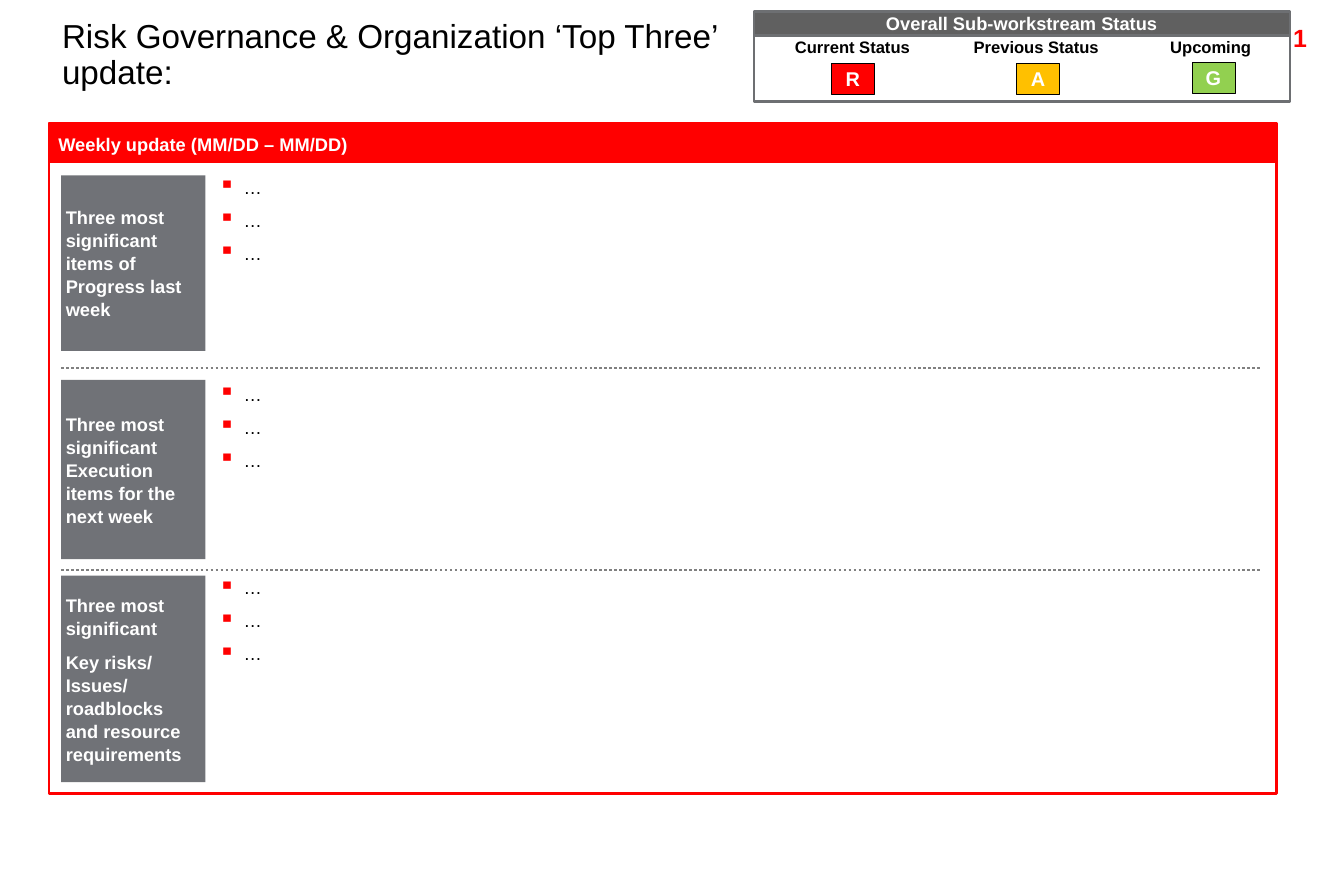
from lxml import etree
from pptx import Presentation
from pptx.dml.color import RGBColor
from pptx.enum.dml import MSO_LINE
from pptx.enum.shapes import MSO_CONNECTOR, MSO_SHAPE
from pptx.enum.text import MSO_ANCHOR, MSO_AUTO_SIZE, PP_ALIGN
from pptx.oxml.ns import qn
from pptx.util import Cm, Pt

RECT = MSO_SHAPE.RECTANGLE
STRAIGHT = MSO_CONNECTOR.STRAIGHT
DOTTED = MSO_LINE.ROUND_DOT
TOP, MIDDLE = MSO_ANCHOR.TOP, MSO_ANCHOR.MIDDLE
LEFT, CENTER, RIGHT = PP_ALIGN.LEFT, PP_ALIGN.CENTER, PP_ALIGN.RIGHT
FIT_SHAPE = MSO_AUTO_SIZE.SHAPE_TO_FIT_TEXT

WHITE = RGBColor(0xFF, 0xFF, 0xFF)
BLACK = RGBColor(0x00, 0x00, 0x00)
RED = RGBColor(0xFF, 0x00, 0x00)
AMBER = RGBColor(0xFF, 0xC0, 0x00)
GREEN = RGBColor(0x92, 0xD0, 0x50)
LABEL_GRAY = RGBColor(0x70, 0x72, 0x77)
HEADER_GRAY = RGBColor(0x60, 0x60, 0x60)
FRAME_GRAY = RGBColor(0x6D, 0x6F, 0x72)
DOT_GRAY = RGBColor(0x80, 0x80, 0x80)

PANEL_X, PANEL_W = 1.04, 26.11
INNER_X, INNER_RIGHT = 1.3, 26.8
LABEL_W = 3.07
BULLETS_X = 4.65
STATUS_X, STATUS_W = 16.03, 11.4

# label top, label height, bullets top, label paragraphs
SECTIONS = [
    (3.73, 3.73, 3.73, ["Three most significant items of Progress last week"]),
    (8.08, 3.81, 8.13, ["Three most significant Execution items for the next week"]),
    (12.24, 4.39, 12.24, ["Three most significant",
                          "Key risks/ Issues/ roadblocks and resource requirements"]),
]
DIVIDERS = [7.82, 12.12]

# caption, caption left, rating, rating left, rating top, colour
STATUSES = [
    ("Current Status ", 15.65, "R", 17.68, 1.35, RED),
    ("Previous Status", 19.51, "A", 21.62, 1.35, AMBER),
    ("Upcoming", 23.22, "G", 25.35, 1.32, GREEN),
]


def set_all(obj, values):
    for name, value in values.items():
        setattr(obj, name, value)


class StatusSlide:
    font = "Arial"

    def __init__(self, prs):
        self.s = prs.slides.add_slide(prs.slide_layouts[6])

    def put_text(self, sp, lines, size, color=BLACK, bold=False, align=LEFT,
                 anchor=TOP, inset=(0.25, 0.13), para=None):
        """Fill a shape with one paragraph per line; inset is (sides, top and bottom)."""
        tf = sp.text_frame
        side, end = map(Cm, inset)
        set_all(tf, {"word_wrap": True, "vertical_anchor": anchor,
                     "margin_left": side, "margin_right": side,
                     "margin_top": end, "margin_bottom": end})
        for i, line in enumerate(lines):
            p = tf.add_paragraph() if i else tf.paragraphs[0]
            set_all(p, {"alignment": align, **(para or {})})
            r = p.add_run()
            r.text = line
            set_all(r.font, {"name": self.font, "size": Pt(size), "bold": bold})
            r.font.color.rgb = color
        return tf

    def text(self, x, y, w, h, lines, size, **style):
        sp = self.s.shapes.add_textbox(Cm(x), Cm(y), Cm(w), Cm(h))
        return self.put_text(sp, lines, size, **style)

    def box(self, x, y, w, h, fill, line=None, width=1.5):
        sp = self.s.shapes.add_shape(RECT, Cm(x), Cm(y), Cm(w), Cm(h))
        sp.shadow.inherit = False
        sp.fill.solid()
        sp.fill.fore_color.rgb = fill
        if line is None:
            sp.line.fill.background()
        else:
            sp.line.color.rgb = line
            sp.line.width = Pt(width)
        return sp

    def divider(self, y):
        c = self.s.shapes.add_connector(STRAIGHT, Cm(INNER_X), Cm(y),
                                        Cm(INNER_RIGHT), Cm(y))
        c.line.color.rgb = DOT_GRAY
        set_all(c.line, {"width": Pt(1.5), "dash_style": DOTTED})
        etree.SubElement(c._element.spPr, qn("a:effectLst"))

    def bullets(self, x, y, w, h, lines):
        tf = self.text(x, y, w, h, lines, 11, inset=(0, 0),
                       para={"level": 1, "space_before": Pt(6), "line_spacing": 1.05})
        tf.auto_size = FIT_SHAPE
        for p in tf.paragraphs:
            pPr = p._p.get_or_add_pPr()
            pPr.set("marL", str(Cm(0.53)))
            pPr.set("indent", str(-Cm(0.53)))
            color = etree.SubElement(pPr, qn("a:buClr"))
            etree.SubElement(color, qn("a:srgbClr"), val=str(RED))
            etree.SubElement(pPr, qn("a:buSzPct"), val="125000")
            etree.SubElement(pPr, qn("a:buChar"), char="▪")

    def section(self, y, h, bullets_y, label):
        sp = self.box(INNER_X, y, LABEL_W, h, LABEL_GRAY)
        self.put_text(sp, label, 11, color=WHITE, bold=True, anchor=MIDDLE,
                      inset=(0.1, 0.1),
                      para={"space_before": Pt(6.6), "line_spacing": 1.05})
        self.bullets(BULLETS_X, bullets_y, INNER_RIGHT - BULLETS_X, 1.83, ["…"] * 3)

    def status(self, caption, caption_x, rating, x, y, color):
        self.text(caption_x, 0.66, 5.05, 0.79, [caption], 10, bold=True, align=CENTER)
        sp = self.box(x, y, 0.91, 0.66, color, BLACK, 0.25)
        self.put_text(sp, [rating], 12, color=WHITE, bold=True, align=CENTER,
                      anchor=MIDDLE, inset=(0, 0))


def main():
    prs = Presentation()
    set_all(prs, {"slide_width": Cm(28.58), "slide_height": Cm(19.05)})
    slide = StatusSlide(prs)

    slide.text(25.32, 0.36, 2.72, 1.27, ["1"], 15, color=RED, bold=True, align=RIGHT)
    slide.text(1.07, 0.3, 14.55, 1.09,
               ["Risk Governance & Organization ‘Top Three’ update:"], 20,
               para={"line_spacing": 0.9})

    slide.box(PANEL_X, 2.62, PANEL_W, 14.25, WHITE, RED)
    header = slide.box(PANEL_X, 2.64, PANEL_W, 0.81, RED, RED, 0.75)
    slide.put_text(header, ["Weekly update (MM/DD – MM/DD)"], 11, color=WHITE,
                   bold=True, inset=(0.2, 0.2))
    for y in DIVIDERS:
        slide.divider(y)
    for section in SECTIONS:
        slide.section(*section)

    header = slide.box(STATUS_X, 0.25, STATUS_W, 0.51, HEADER_GRAY, FRAME_GRAY)
    slide.put_text(header, ["Overall Sub-workstream Status"], 11, color=WHITE,
                   bold=True, align=CENTER, anchor=MIDDLE, inset=(0.08, 0.08))
    slide.box(STATUS_X, 0.76, STATUS_W, 1.4, WHITE, FRAME_GRAY)
    for status in STATUSES:
        slide.status(*status)

    prs.save("out.pptx")


if __name__ == "__main__":
    main()
